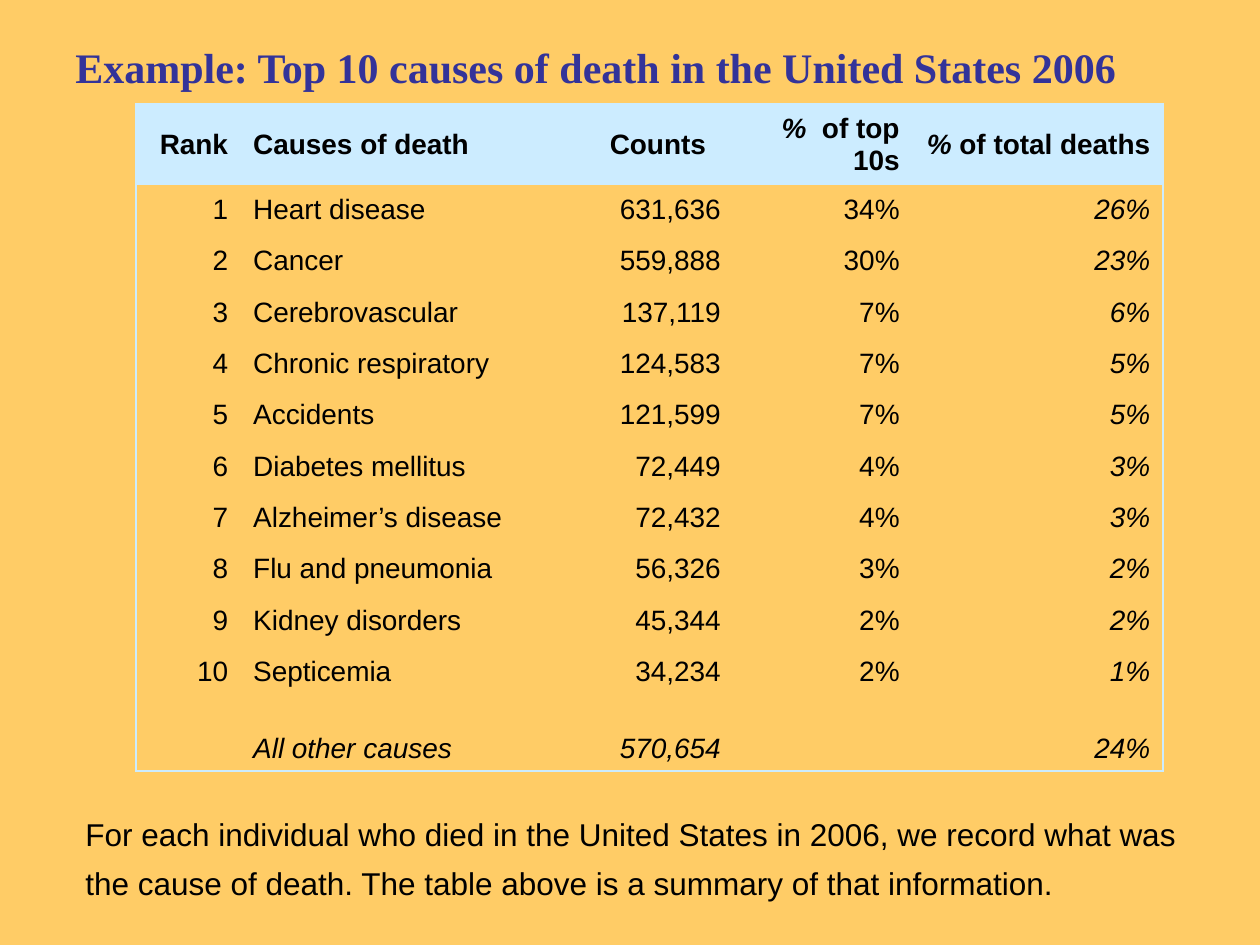
from lxml.etree import SubElement
from pptx import Presentation
from pptx.dml.color import RGBColor
from pptx.enum.text import MSO_ANCHOR, PP_ALIGN
from pptx.oxml.ns import qn
from pptx.util import Inches, Pt

COLORS = {"background": "FFCC66", "title": "333399", "text": "000000", "pale": "CCECFF"}
NO_STYLE = "{2D5ABB26-0587-4C30-8999-92F81FD0307C}"

# Each header is an italic start followed by an upright rest.
HEADERS = [("", "Rank"), ("", "Causes of death"), ("", "Counts"),
           ("%", "  of top 10s"), ("% ", "of total deaths")]
CAUSES = [
    ("1", "Heart disease", "631,636", "34%", "26%"),
    ("2", "Cancer", "559,888", "30%", "23%"),
    ("3", "Cerebrovascular", "137,119", "7%", "6%"),
    ("4", "Chronic respiratory", "124,583", "7%", "5%"),
    ("5", "Accidents", "121,599", "7%", "5%"),
    ("6", "Diabetes mellitus", "72,449", "4%", "3%"),
    ("7", "Alzheimer’s disease", "72,432", "4%", "3%"),
    ("8", "Flu and pneumonia", "56,326", "3%", "2%"),
    ("9", "Kidney disorders", "45,344", "2%", "2%"),
    ("10", "Septicemia", "34,234", "2%", "1%"),
    ("", "All other causes", "570,654", "", "24%"),
]
COL_WIDTHS = [0.83, 2.83, 1.08, 1.42, 1.99]
TABLE_HEIGHT = 5.29
HEADER_HEIGHT, FIRST_HEIGHT, OTHER_HEIGHT = 0.64, 0.37, 0.61


def rgb(name):
    return RGBColor.from_string(COLORS[name])


def set_font(p, size, color="text", name="Arial", bold=False):
    p.font.size = Pt(size)
    p.font.name = name
    p.font.bold = bold
    p.font.color.rgb = rgb(color)


def add_text(slide, text, box, **font):
    tf = slide.shapes.add_textbox(*map(Inches, box)).text_frame
    tf.word_wrap = True
    p = tf.paragraphs[0]
    p.text = text
    set_font(p, **font)
    return tf


def add_border(cell, side):
    """Draw one side of a cell: L, R, T or B."""
    ln = SubElement(cell._tc.get_or_add_tcPr(), qn(f"a:ln{side}"), w=str(Pt(1.5)))
    fill = SubElement(ln, qn("a:solidFill"))
    SubElement(fill, qn("a:srgbClr"), val=COLORS["pale"])


def outline_cell(cell, row, col, last_row, last_col):
    """Draw the sides of a cell that lie on the table's outer edge."""
    edges = {"L": col == 0, "R": col == last_col, "T": row == 0, "B": row == last_row}
    for side, on_edge in edges.items():
        if on_edge:
            add_border(cell, side)


def start_paragraph(cell, right, bold=False):
    p = cell.text_frame.paragraphs[0]
    p.alignment = PP_ALIGN.RIGHT if right else PP_ALIGN.LEFT
    pPr = p._p.get_or_add_pPr()
    pPr.set("marL", str(Inches(0.38)))
    pPr.set("indent", str(Inches(-0.38)))
    set_font(p, 16, bold=bold)
    return p


def fill_header(cell, col, parts):
    cell.vertical_anchor = MSO_ANCHOR.MIDDLE
    cell.fill.solid()
    cell.fill.fore_color.rgb = rgb("pale")
    p = start_paragraph(cell, right=col not in (1, 2), bold=True)
    for text, italic in zip(parts, (True, False)):
        if text:
            r = p.add_run()
            r.text = text
            r.font.italic = italic


def fill_body(cell, col, text, italic):
    cell.vertical_anchor = MSO_ANCHOR.BOTTOM
    cell.fill.background()
    p = start_paragraph(cell, right=col != 1)
    p.font.italic = italic
    if text:
        p.text = text


def add_causes_table(slide):
    last_row, last_col = len(CAUSES), len(HEADERS) - 1
    frame = slide.shapes.add_table(last_row + 1, last_col + 1, Inches(1.08), Inches(0.83),
                                   Inches(sum(COL_WIDTHS)), Inches(TABLE_HEIGHT))
    table = frame.table
    table.first_row = table.horz_banding = False
    table._tbl.tblPr.find(qn("a:tableStyleId")).text = NO_STYLE

    middle_rows = last_row - 2
    middle = (TABLE_HEIGHT - HEADER_HEIGHT - FIRST_HEIGHT - OTHER_HEIGHT) / middle_rows
    heights = [HEADER_HEIGHT, FIRST_HEIGHT] + [middle] * middle_rows + [OTHER_HEIGHT]
    for row, height in zip(table.rows, heights):
        row.height = Inches(height)
    for column, width in zip(table.columns, COL_WIDTHS):
        column.width = Inches(width)

    for i, values in enumerate([HEADERS] + CAUSES):
        for j, value in enumerate(values):
            cell = table.cell(i, j)
            outline_cell(cell, i, j, last_row, last_col)
            if i == 0:
                fill_header(cell, j, value)
            else:
                fill_body(cell, j, value, italic=i == last_row or j == last_col)


def main():
    prs = Presentation()
    prs.slide_width, prs.slide_height = Inches(10), Inches(7.5)
    slide = prs.slides.add_slide(prs.slide_layouts[6])
    slide.background.fill.solid()
    slide.background.fill.fore_color.rgb = rgb("background")

    title = add_text(slide, "Example: Top 10 causes of death in the United States 2006",
                     (0.5, 0.25, 9, 0.83), size=24, color="title",
                     name="Times New Roman", bold=True)
    title.margin_top = Inches(0.08)
    add_causes_table(slide)
    note = add_text(slide, "For each individual who died in the United States in 2006, "
                    "we record what was the cause of death. The table above is a "
                    "summary of that information.", (0.58, 6.33, 9, 0.88), size=18)
    note.paragraphs[0].line_spacing = 1.3
    prs.save("out.pptx")


if __name__ == "__main__":
    main()
